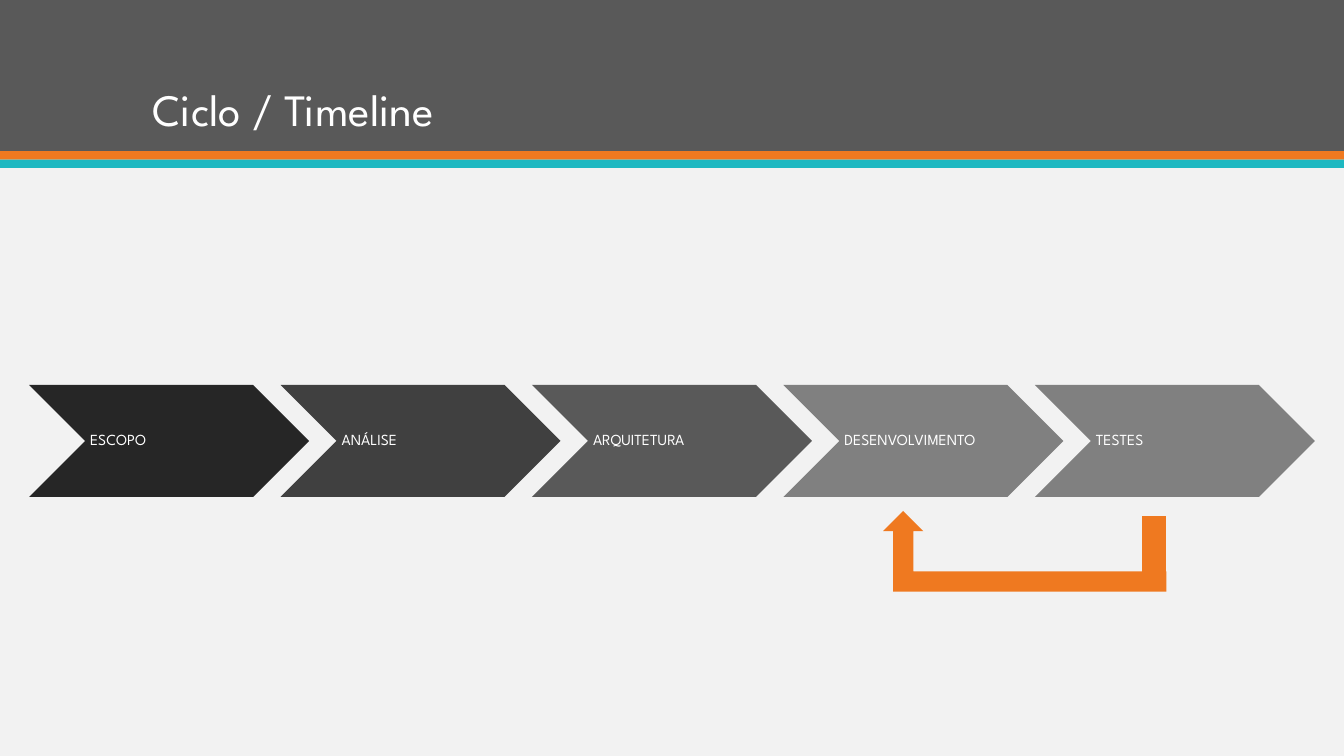
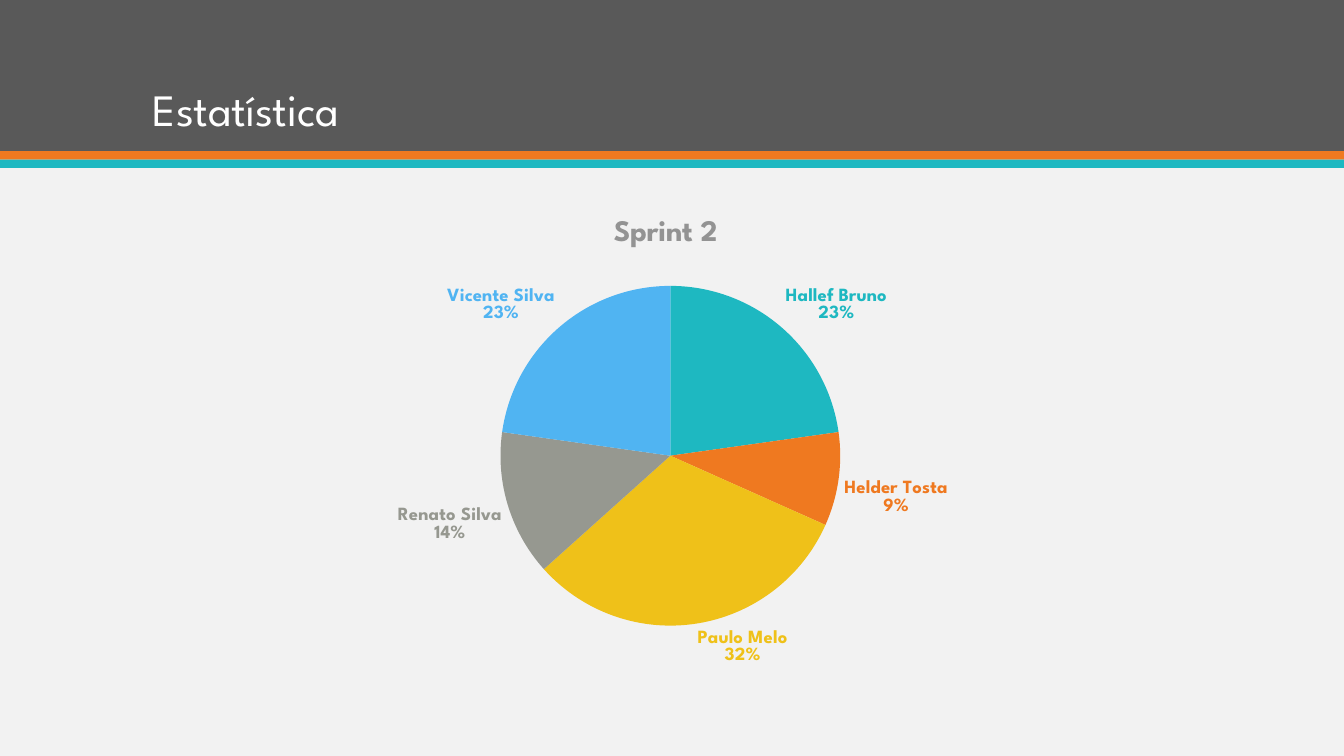
from dataclasses import dataclass
from typing import Any

from lxml import etree
from pptx import Presentation
from pptx import util as u
from pptx.chart.data import CategoryChartData
from pptx.dml.color import RGBColor
from pptx.enum import chart as charts
from pptx.enum import shapes, text
from pptx.oxml.ns import qn

# Colours and type
PAPER = RGBColor(0xF2, 0xF2, 0xF2)
WHITE = RGBColor(0xFF, 0xFF, 0xFF)
BLACK = RGBColor(0x26, 0x26, 0x26)
CHARCOAL = RGBColor(0x40, 0x40, 0x40)
SLATE = RGBColor(0x59, 0x59, 0x59)
GRAY = RGBColor(0x80, 0x80, 0x80)
SILVER = RGBColor(0x93, 0x93, 0x93)
ORANGE = RGBColor(0xEF, 0x79, 0x20)
TEAL = RGBColor(0x1E, 0xB8, 0xC1)
YELLOW = RGBColor(0xEF, 0xC1, 0x19)
STONE = RGBColor(0x96, 0x98, 0x90)
SKY = RGBColor(0x50, 0xB4, 0xF2)
FONT = "League Spartan"

# Grid of square cells
COLUMNS, ROWS = 48, 27
WIDTH, HEIGHT = u.Inches(40 / 3), u.Inches(7.5)


@dataclass(frozen=True)
class Area:
    """Position and size in grid columns and rows."""
    column: float
    row: float
    columns: float
    rows: float

    def frame(self) -> tuple[int, int, int, int]:
        across, down = WIDTH / COLUMNS, HEIGHT / ROWS
        return (round(self.column * across), round(self.row * down),
                round(self.columns * across), round(self.rows * down))


@dataclass(frozen=True)
class Band:
    row: float
    rows: float
    color: RGBColor


@dataclass(frozen=True)
class Stage:
    label: str
    color: RGBColor


@dataclass(frozen=True)
class Share:
    person: str
    percent: int
    color: RGBColor


BANDS = [Band(0, 5.4, SLATE), Band(5.4, 0.3, ORANGE), Band(5.7, 0.3, TEAL)]
TITLE_AREA = Area(5.1, 1, 37.8, 4.05)
STAGES = [
    Stage("ESCOPO", BLACK),
    Stage("ANÁLISE", CHARCOAL),
    Stage("ARQUITETURA", SLATE),
    Stage("DESENVOLVIMENTO", GRAY),
    Stage("TESTES", GRAY),
]
STAGE_START, STAGE_ROW, STAGE_PITCH = 1.04, 13.75, 8.98
SHARES = [
    Share("Hallef Bruno", 23, TEAL),
    Share("Helder Tosta", 9, ORANGE),
    Share("Paulo Melo", 32, YELLOW),
    Share("Renato Silva", 14, STONE),
    Share("Vicente Silva", 23, SKY),
]


# Shared drawing functions
def apply_format(target: Any, values: dict[str, Any]) -> None:
    for name, value in values.items():
        setattr(target, name, value)


def style_font(font: Any, size: float, color: RGBColor, bold: bool = False) -> None:
    apply_format(font, {"name": FONT, "size": u.Pt(size), "bold": bold})
    font.color.rgb = color


def add_block(page: Any, kind: Any, area: Area, color: RGBColor) -> Any:
    block = page.shapes.add_shape(kind, *area.frame())
    block.shadow.inherit = False
    block.fill.solid()
    block.fill.fore_color.rgb = color
    block.line.fill.background()
    return block


def add_label(page: Any, words: str, area: Area, size: float,
              frame_format: dict[str, Any]) -> None:
    frame = page.shapes.add_textbox(*area.frame()).text_frame
    apply_format(frame, {"word_wrap": True, **frame_format})
    para = frame.paragraphs[0]
    para.line_spacing = 0.9
    span = para.add_run()
    span.text = words
    style_font(span.font, size, WHITE)


def add_page(deck: Any, title: str) -> Any:
    page = deck.slides.add_slide(deck.slide_layouts[6])
    for band in BANDS:
        add_block(page, shapes.MSO_SHAPE.RECTANGLE,
                  Area(0, band.row, COLUMNS, band.rows), band.color)
    add_label(page, title, TITLE_AREA, 32,
              {"vertical_anchor": text.MSO_ANCHOR.BOTTOM})
    return page


# Timeline
def draw_timeline(page: Any) -> None:
    label_format = {
        "vertical_anchor": text.MSO_ANCHOR.MIDDLE,
        "margin_left": u.Inches(0.05),
        "margin_top": u.Inches(0.02),
        "margin_right": u.Inches(0.02),
        "margin_bottom": u.Inches(0.02),
    }
    for index, stage in enumerate(STAGES):
        column = STAGE_START + index * STAGE_PITCH
        add_block(page, shapes.MSO_SHAPE.CHEVRON,
                  Area(column, STAGE_ROW, 10, 4), stage.color)
        add_label(page, stage.label, Area(column + 2, STAGE_ROW, 6, 4), 11,
                  label_format)

    # Return loop from tests to development
    arrow = add_block(page, shapes.MSO_SHAPE.BENT_UP_ARROW,
                      Area(31.54, 18.25, 10.12, 2.88), ORANGE)
    arrow.element.spPr.find(qn("a:xfrm")).set("flipH", "1")
    tail = add_block(page, shapes.MSO_SHAPE.MATH_MINUS,
                     Area(39.42, 17.96, 3.6, 3.6), ORANGE)
    tail.rotation = 90


# Pie chart
def set_layout(parent: Any, index: int, values: dict[str, Any]) -> None:
    for previous in parent.findall(qn("c:layout")):
        parent.remove(previous)
    layout = etree.Element(qn("c:layout"))
    manual = etree.SubElement(layout, qn("c:manualLayout"))
    for name, value in values.items():
        etree.SubElement(manual, qn(f"c:{name}")).set("val", str(value))
    parent.insert(index, layout)


def draw_shares(page: Any) -> None:
    data = CategoryChartData()
    data.categories = [share.person for share in SHARES]
    data.add_series("Series 1", [share.percent for share in SHARES])
    pie = page.shapes.add_chart(charts.XL_CHART_TYPE.PIE,
                                *Area(5.1, 7.2, 37.8, 17.1).frame(), data).chart
    apply_format(pie, {"has_legend": False, "has_title": True})
    apply_format(pie.font, {"name": "Cambria", "size": u.Pt(10)})
    pie.font.color.rgb = SLATE

    heading = pie.chart_title
    span = heading.text_frame.paragraphs[0].add_run()
    span.text = "Sprint 2"
    style_font(span.font, 21.3, SILVER, bold=True)
    set_layout(heading.element if hasattr(heading, "element") else heading._element, 1,
               {"xMode": "edge", "yMode": "edge", "x": 0.44, "y": 0.02})
    set_layout(pie.element.find(f".//{qn('c:plotArea')}"), 0,
               {"layoutTarget": "inner", "xMode": "edge", "yMode": "edge",
                "x": 0.338, "y": 0.176, "w": 0.321, "h": 0.71})

    plot = pie.plots[0]
    plot.vary_by_categories = True
    series = plot.series[0]
    outside = charts.XL_LABEL_POSITION.OUTSIDE_END
    labels = series.data_labels
    apply_format(labels, {
        "show_percentage": True, "show_category_name": True,
        "show_value": False, "position": outside,
        "number_format": "0%", "number_format_is_linked": False,
    })
    style_font(labels.font, 13.3, TEAL, bold=True)
    for index, share in enumerate(SHARES):
        point = series.points[index]
        point.format.fill.solid()
        point.format.fill.fore_color.rgb = share.color
        point.format.line.fill.background()
        style_font(point.data_label.font, 13.3, share.color, bold=True)
        point.data_label.position = outside

    # Each label shows the person above the percentage
    for label in series._element.iter(qn("c:dLbl")):
        for name, shown in {"showVal": 0, "showCatName": 1, "showPercent": 1}.items():
            label.find(qn(f"c:{name}")).set("val", str(shown))
        etree.SubElement(label, qn("c:separator")).text = "\n"


# Deck
def main() -> None:
    deck = Presentation()
    apply_format(deck, {"slide_width": WIDTH, "slide_height": HEIGHT})
    backdrop = deck.slide_master.background.fill
    backdrop.solid()
    backdrop.fore_color.rgb = PAPER
    draw_timeline(add_page(deck, "Ciclo / Timeline"))
    draw_shares(add_page(deck, "Estatística"))
    deck.save("out.pptx")


main()
